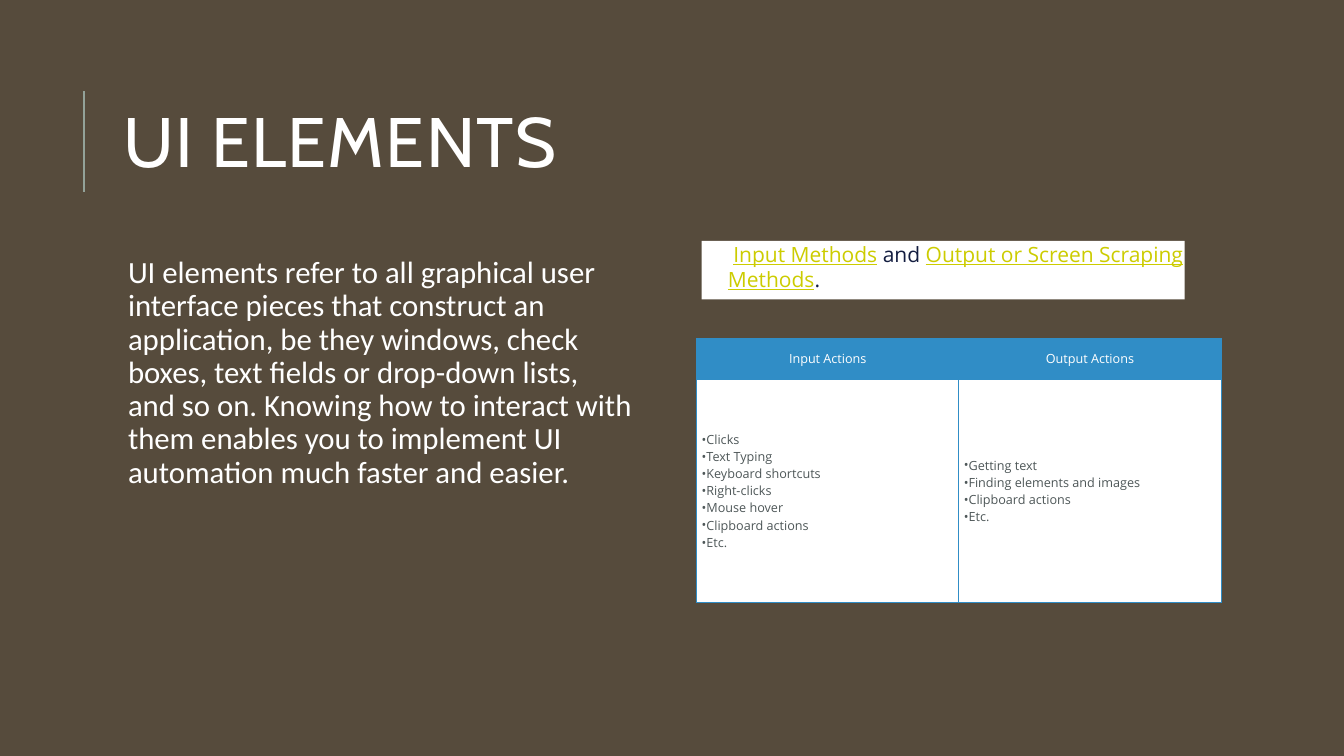
"""Builds the UI elements slide with its table of input and output actions."""
from dataclasses import dataclass

from lxml.etree import SubElement
from pptx import Presentation
from pptx.dml.color import RGBColor
from pptx.enum.shapes import MSO_CONNECTOR, MSO_SHAPE
from pptx.enum.text import MSO_ANCHOR, MSO_AUTO_SIZE, PP_ALIGN
from pptx.oxml.ns import qn
from pptx.slide import Slide
from pptx.table import _Cell
from pptx.text.text import Font, TextFrame, _Paragraph
from pptx.util import Inches, Pt


@dataclass(frozen=True)
class TextStyle:
    face: str
    size: int
    color: str


@dataclass(frozen=True)
class Theme:
    background: str = "564B3C"
    accent: str = "93A299"
    blue: str = "308DC6"
    white: str = "FFFFFF"
    link: str = "CCCC00"
    title: TextStyle = TextStyle("Cabin", 50, "FFFFFF")
    body: TextStyle = TextStyle("Calibri", 22, "FFFFFF")
    methods: TextStyle = TextStyle("Open Sans", 15, "131D40")
    header: TextStyle = TextStyle("Open Sans", 9, "FFFFFF")
    action: TextStyle = TextStyle("Open Sans", 9, "4E5758")


@dataclass(frozen=True)
class ActionColumn:
    heading: str
    actions: tuple[str, ...]


@dataclass(frozen=True)
class Phrase:
    text: str
    linked: bool = False


THEME = Theme()
DESCRIPTION = (
    "UI elements refer to all graphical user interface pieces that construct an "
    "application, be they windows, check boxes, text fields or drop-down lists, "
    "and so on. Knowing how to interact with them enables you to implement UI "
    "automation much faster and easier."
)
METHODS = (
    Phrase(" "),
    Phrase("Input Methods", linked=True),
    Phrase(" and "),
    Phrase("Output or Screen Scraping Methods", linked=True),
    Phrase("."),
)
COLUMNS = (
    ActionColumn("Input Actions", (
        "Clicks", "Text Typing", "Keyboard shortcuts", "Right-clicks",
        "Mouse hover", "Clipboard actions", "Etc.")),
    ActionColumn("Output Actions", (
        "Getting text", "Finding elements and images", "Clipboard actions", "Etc.")),
)


def rgb(color: str) -> RGBColor:
    return RGBColor.from_string(color)


def apply_style(font: Font, style: TextStyle) -> None:
    font.name = style.face
    font.size = Pt(style.size)
    font.color.rgb = rgb(style.color)


def set_margins(box: TextFrame | _Cell, left: float, top: float, right: float, bottom: float) -> None:
    box.margin_left, box.margin_top = Inches(left), Inches(top)
    box.margin_right, box.margin_bottom = Inches(right), Inches(bottom)


def add_bullet(paragraph: _Paragraph, face: str) -> None:
    properties = paragraph._p.get_or_add_pPr()
    properties.set("marL", "0")
    properties.set("indent", "0")
    SubElement(properties, qn("a:buFont")).set("typeface", face)
    SubElement(properties, qn("a:buChar")).set("char", "•")


def add_borders(cell: _Cell) -> None:
    properties = cell._tc.get_or_add_tcPr()
    for side in ("L", "R", "T", "B"):
        border = SubElement(properties, qn(f"a:ln{side}"))
        border.set("w", str(Pt(0.75)))
        fill = SubElement(border, qn("a:solidFill"))
        SubElement(fill, qn("a:srgbClr")).set("val", THEME.blue)


def add_title(slide: Slide) -> None:
    rule = slide.shapes.add_connector(
        MSO_CONNECTOR.STRAIGHT, Inches(0.83), Inches(1.9), Inches(0.83), Inches(0.9))
    rule.line.color.rgb = rgb(THEME.accent)
    rule.line.width = Pt(1.5)
    SubElement(rule._element.spPr, qn("a:effectLst"))

    title = slide.shapes.title
    title.left, title.top = Inches(1.12), Inches(0.64)
    title.width, title.height = Inches(10.63), Inches(1.64)
    frame = title.text_frame
    frame.text = "UI ELEMENTS"
    frame.vertical_anchor = MSO_ANCHOR.MIDDLE
    frame.auto_size = MSO_AUTO_SIZE.NONE
    heading = frame.paragraphs[0]
    heading.alignment = PP_ALIGN.LEFT
    heading.line_spacing = 0.8
    apply_style(heading.font, THEME.title)
    heading._p.pPr.find(qn("a:defRPr")).set("spc", "100")


def add_description(slide: Slide) -> None:
    frame = slide.shapes.add_textbox(
        Inches(1.12), Inches(2.5), Inches(5.2), Inches(4.4)).text_frame
    frame.word_wrap = True
    set_margins(frame, 0.15, 0.05, 0.05, 0.05)
    description = frame.paragraphs[0]
    description.text = DESCRIPTION
    description.line_spacing = 0.9
    apply_style(description.font, THEME.body)


def fill_cell(cell: _Cell, lines: tuple[str, ...], style: TextStyle, fill: str, bulleted: bool) -> None:
    add_borders(cell)
    cell.fill.solid()
    cell.fill.fore_color.rgb = rgb(fill)
    cell.vertical_anchor = MSO_ANCHOR.MIDDLE
    set_margins(cell, 0.05, 0.02, 0.05, 0.02)
    cell.text = "\n".join(lines)
    for paragraph in cell.text_frame.paragraphs:
        if bulleted:
            add_bullet(paragraph, style.face)
        else:
            paragraph.alignment = PP_ALIGN.CENTER
        apply_style(paragraph.font, style)


def add_actions(slide: Slide) -> None:
    table = slide.shapes.add_table(
        2, len(COLUMNS), Inches(6.91), Inches(3.36), Inches(5.2), Inches(2.63)).table
    table.first_row = False
    table.horz_banding = False
    table.rows[0].height, table.rows[1].height = Inches(0.4), Inches(2.22)
    for index, column in enumerate(COLUMNS):
        fill_cell(table.cell(0, index), (column.heading,), THEME.header, THEME.blue, False)
        fill_cell(table.cell(1, index), column.actions, THEME.action, THEME.white, True)


def add_methods(slide: Slide) -> None:
    panel = slide.shapes.add_shape(
        MSO_SHAPE.RECTANGLE, Inches(6.96), Inches(2.39), Inches(4.79), Inches(0.58))
    panel.shadow.inherit = False
    panel.fill.solid()
    panel.fill.fore_color.rgb = rgb(THEME.white)
    panel.line.fill.background()
    frame = panel.text_frame
    frame.word_wrap = True
    frame.auto_size = MSO_AUTO_SIZE.SHAPE_TO_FIT_TEXT
    frame.vertical_anchor = MSO_ANCHOR.MIDDLE
    set_margins(frame, 0.26, 0, 0, 0.07)
    sentence = frame.paragraphs[0]
    sentence.alignment = PP_ALIGN.LEFT
    apply_style(sentence.font, THEME.methods)
    for phrase in METHODS:
        run = sentence.add_run()
        run.text = phrase.text
        run.font.color.rgb = rgb(THEME.link if phrase.linked else THEME.methods.color)
        run.font.underline = phrase.linked


def main() -> None:
    presentation = Presentation()
    presentation.slide_width, presentation.slide_height = Inches(13.33), Inches(7.5)
    slide = presentation.slides.add_slide(presentation.slide_layouts.get_by_name("Title Only"))
    slide.background.fill.solid()
    slide.background.fill.fore_color.rgb = rgb(THEME.background)
    add_title(slide)
    add_description(slide)
    add_actions(slide)
    add_methods(slide)
    presentation.save("out.pptx")


if __name__ == "__main__":
    main()
